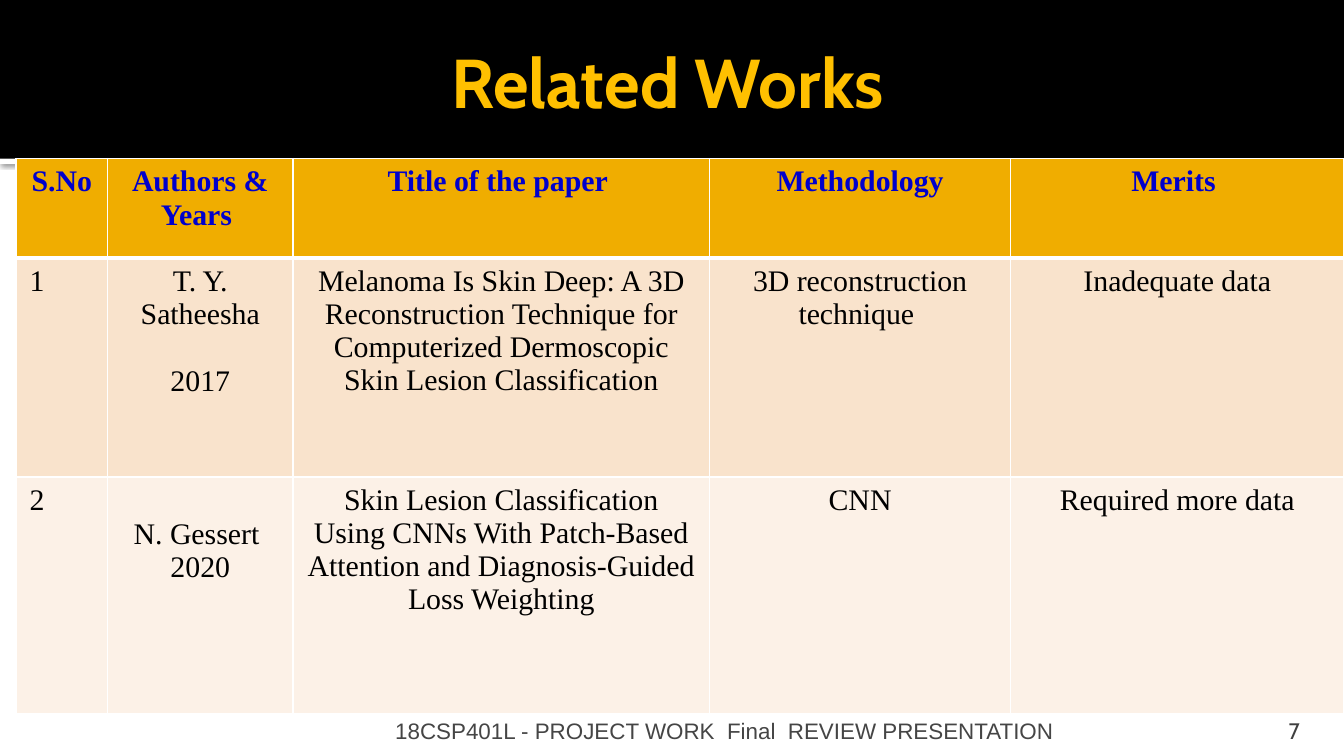
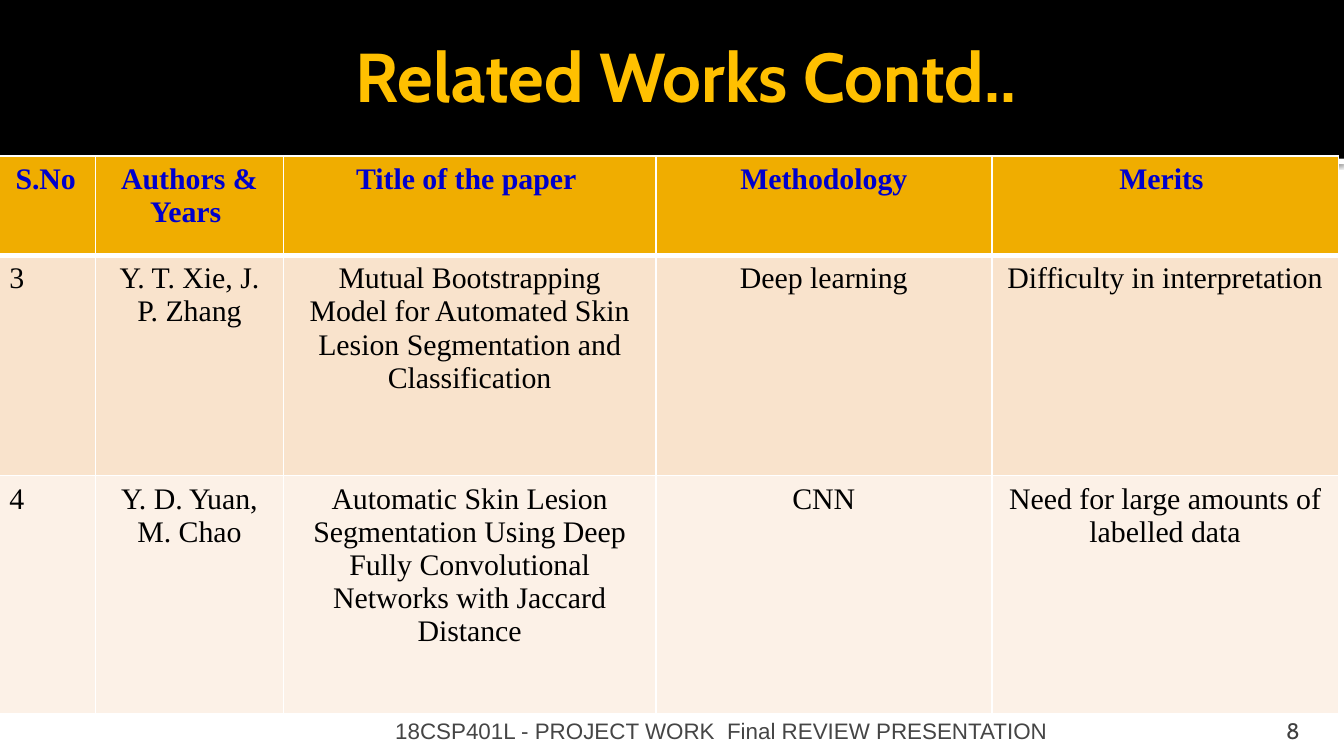
from lxml import etree
from pptx import Presentation
from pptx.dml.color import RGBColor
from pptx.enum.shapes import MSO_SHAPE
from pptx.enum.text import MSO_ANCHOR, MSO_AUTO_SIZE, PP_ALIGN
from pptx.oxml.ns import qn
from pptx.util import Inches, Pt

RECTANGLE = MSO_SHAPE.RECTANGLE
MIDDLE, BOTTOM = MSO_ANCHOR.MIDDLE, MSO_ANCHOR.BOTTOM
NO_AUTOFIT = MSO_AUTO_SIZE.NONE
LEFT, CENTER, RIGHT = PP_ALIGN.LEFT, PP_ALIGN.CENTER, PP_ALIGN.RIGHT

BLACK = RGBColor(0x00, 0x00, 0x00)
WHITE = RGBColor(0xFF, 0xFF, 0xFF)
TITLE_GOLD = RGBColor(0xFF, 0xC0, 0x00)
HEADER_GOLD = RGBColor(0xF0, 0xAD, 0x00)
HEADER_BLUE = RGBColor(0x00, 0x00, 0xCC)
ROW_FILLS = [RGBColor(0xF9, 0xE3, 0xCC), RGBColor(0xFC, 0xF1, 0xE7)]
NUMBER_GRAY = RGBColor(0x3F, 0x3F, 0x3F)
FOOTER_GRAY = RGBColor(0x45, 0x45, 0x45)

HEADING_FONT, TABLE_FONT, FOOTER_FONT = "Cabin", "Times New Roman", "Arial"
SLIDE_WIDTH = 10
BAND_HEIGHT = 1.18
CELL_MARGIN = 0.05
BLANK_LINE = 0.25
HEADERS = ["S.No", "Authors & Years ", "Title of the paper ", "Methodology", "Merits "]


class ReviewDeck:
    def __init__(self):
        self.presentation = Presentation()
        self.presentation.slide_width = Inches(SLIDE_WIDTH)
        self.presentation.slide_height = Inches(SLIDE_WIDTH * 9 / 16)
        self.slide = None

    def add_slide(self, title, left, top):
        layout = self.presentation.slide_layouts.get_by_name("Title Only")
        self.slide = self.presentation.slides.add_slide(layout)
        self.add_band(BAND_HEIGHT, 0.04, WHITE, has_shadow=True)
        self.add_band(0, BAND_HEIGHT, BLACK)
        self.add_title(title, left, top)

    def add_band(self, top, height, color, has_shadow=False):
        shape = self.slide.shapes.add_shape(
            RECTANGLE, 0, Inches(top), Inches(SLIDE_WIDTH), Inches(height))
        shape.fill.solid()
        shape.fill.fore_color.rgb = color
        shape.line.fill.background()
        shape.shadow.inherit = False
        if has_shadow:
            effects = shape._element.spPr.find(qn("a:effectLst"))
            shadow = etree.SubElement(
                effects, qn("a:outerShdw"), blurRad=str(Pt(2.5)), dist=str(Pt(0.8)),
                dir="5400000", algn="tl", rotWithShape="0")
            color_node = etree.SubElement(shadow, qn("a:srgbClr"), val=str(BLACK))
            etree.SubElement(color_node, qn("a:alpha"), val="60000")

    def add_run(self, paragraph, text, font, size, color, bold=False):
        run = paragraph.add_run()
        run.text = text
        run.font.name = font
        run.font.size = Pt(size)
        run.font.bold = bold
        run.font.color.rgb = color

    def format_frame(self, frame, anchor, margins):
        frame.word_wrap = True
        frame.auto_size = NO_AUTOFIT
        frame.vertical_anchor = anchor
        (frame.margin_left, frame.margin_top,
         frame.margin_right, frame.margin_bottom) = map(Inches, margins)

    def add_title(self, text, left, top):
        title = self.slide.shapes.title
        title.left, title.top = Inches(left), Inches(top)
        title.width, title.height = Inches(9), Inches(1.03)
        self.format_frame(title.text_frame, MIDDLE, (0.1, 0.05, 0.05, 0.05))
        paragraph = title.text_frame.paragraphs[0]
        paragraph.alignment = CENTER
        self.add_run(paragraph, text, HEADING_FONT, 37, TITLE_GOLD, bold=True)
        # The title stands in front of the bands
        self.slide.shapes._spTree.append(title._element)

    def add_footer_box(self, text, left, width, side, alignment, font, color):
        box = self.slide.shapes.add_textbox(
            Inches(left), Inches(5.31), Inches(width), Inches(0.23))
        self.format_frame(box.text_frame, BOTTOM, (side, 0.05, side, 0))
        paragraph = box.text_frame.paragraphs[0]
        paragraph.alignment = alignment
        self.add_run(paragraph, text, font, 12, color)

    def add_footer(self, text, number):
        self.add_footer_box(number, 8.97, 0.8, 0.1, RIGHT, HEADING_FONT, NUMBER_GRAY)
        self.add_footer_box(text, 2.89, 6.02, 0.05, LEFT, FOOTER_FONT, FOOTER_GRAY)

    def set_borders(self, cell, top, bottom):
        properties = cell._tc.get_or_add_tcPr()
        for side, width in (("L", 1), ("R", 1), ("T", top), ("B", bottom)):
            line = etree.SubElement(properties, qn(f"a:ln{side}"), w=str(Pt(width)))
            fill = etree.SubElement(line, qn("a:solidFill"))
            etree.SubElement(fill, qn("a:srgbClr"), val=str(WHITE))

    def fill_cell(self, cell, lines, row, column):
        """A None among the lines leaves a line of space above the next one."""
        is_header = row == 0
        self.set_borders(cell, top=3 if row == 1 else 1, bottom=3 if is_header else 1)
        cell.fill.solid()
        cell.fill.fore_color.rgb = HEADER_GOLD if is_header else ROW_FILLS[row - 1]
        cell.margin_left = cell.margin_right = Inches(0.1)
        cell.margin_top = cell.margin_bottom = Inches(CELL_MARGIN)
        paragraph, gap = None, False
        for line in lines:
            if line is None:
                gap = True
                continue
            if paragraph is None:
                paragraph = cell.text_frame.paragraphs[0]
                if gap:
                    cell.margin_top = Inches(CELL_MARGIN + BLANK_LINE)
            else:
                paragraph = cell.text_frame.add_paragraph()
                if gap:
                    paragraph.space_before = Inches(BLANK_LINE)
            gap = False
            paragraph.alignment = CENTER if is_header or column > 0 else LEFT
            self.add_run(paragraph, line, TABLE_FONT, 16,
                         HEADER_BLUE if is_header else BLACK, bold=is_header)

    def add_table(self, left, top, widths, heights, works):
        rows = [HEADERS] + works
        table = self.slide.shapes.add_table(
            len(rows), len(widths), Inches(left), Inches(top),
            Inches(sum(widths)), Inches(sum(heights))).table
        for column, width in zip(table.columns, widths):
            column.width = Inches(width)
        for table_row, height in zip(table.rows, heights):
            table_row.height = Inches(height)
        for row, values in enumerate(rows):
            for column, value in enumerate(values):
                lines = [value] if isinstance(value, str) else value
                self.fill_cell(table.cell(row, column), lines, row, column)


def main():
    deck = ReviewDeck()

    # Related works 1 and 2
    deck.add_slide("Related Works ", 0.5, 0.09)
    deck.add_footer("18CSP401L - PROJECT WORK  Final  REVIEW PRESENTATION", "7")
    deck.add_table(0.12, 1.18, [0.68, 1.38, 3.1, 2.24, 2.48], [0.74, 1.63, 1.76], [
        ["1", ["T. Y. Satheesha", None, "2017"],
         "Melanoma Is Skin Deep: A 3D Reconstruction Technique for "
         "Computerized Dermoscopic Skin Lesion Classification",
         "3D reconstruction technique ", "Inadequate data"],
        ["2", [None, "N. Gessert ", "2020"],
         "Skin Lesion Classification Using CNNs With Patch-Based "
         "Attention and Diagnosis-Guided Loss Weighting",
         "CNN", "Required more data"],
    ])

    # Related works 3 and 4
    deck.add_slide("Related Works Contd..", 0.58, 0.04)
    deck.add_footer("18CSP401L - PROJECT WORK  Final REVIEW PRESENTATION", "8")
    deck.add_table(-0.03, 1.16, [0.74, 1.4, 2.77, 2.5, 2.58], [0.74, 1.64, 1.77], [
        ["3", "Y. T. Xie, J. P. Zhang",
         "Mutual Bootstrapping Model for Automated Skin Lesion "
         "Segmentation and Classification",
         "Deep learning", "Difficulty in interpretation"],
        ["4", "Y. D. Yuan, M. Chao",
         "Automatic Skin Lesion Segmentation Using Deep Fully "
         "Convolutional Networks with Jaccard Distance",
         "CNN", "Need for large amounts of labelled data"],
    ])

    deck.presentation.save("out.pptx")


if __name__ == "__main__":
    main()
